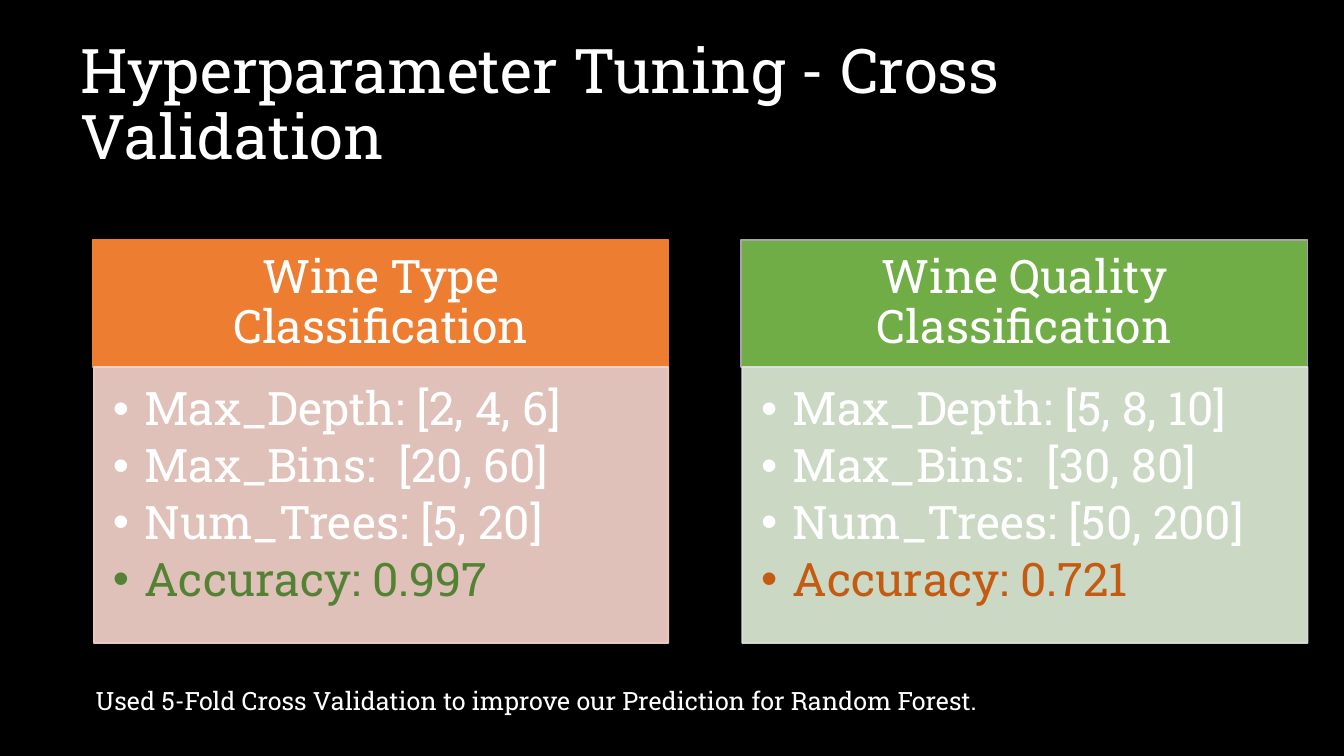
"""Build the hyperparameter tuning slide with two classification cards."""
from lxml.etree import SubElement
from pptx import Presentation
from pptx.dml.color import RGBColor
from pptx.enum.shapes import MSO_SHAPE
from pptx.enum.text import MSO_ANCHOR, PP_ALIGN
from pptx.oxml.ns import qn
from pptx.util import Inches, Pt

FONT = "Roboto Slab"
WHITE = "FFFFFF"
TITLE = "Hyperparameter Tuning - Cross Validation"
FOOTNOTE = "Used 5-Fold Cross Validation to improve our Prediction for Random Forest."
CARDS = [
    {
        "heading": "Wine Type Classification",
        "left": 0.92, "width": 5.71,
        "header": ("ED7D31", "ED7D31"), "body": ("F8D7CE", "F8D7CE"),
        "settings": ["Max_Depth: [2, 4, 6]", "Max_Bins:  [20, 60]", "Num_Trees: [5, 20]"],
        "accuracy": ("Accuracy: 0.997", "548235"),
    },
    {
        "heading": "Wine Quality Classification",
        "left": 7.35, "width": 5.62,
        "header": ("70AD47", "A5A5A5"), "body": ("E2F0D9", "E1E1E1"),
        "settings": ["Max_Depth: [5, 8, 10]", "Max_Bins:  [30, 80]", "Num_Trees: [50, 200]"],
        "accuracy": ("Accuracy: 0.721", "C55A11"),
    },
]
CARD_TOP, HEADER_HEIGHT, BODY_HEIGHT = 2.38, 1.26, 2.74
BODY_INSET = 0.01
HEADER_MARGINS = (0.26, 0.15, 0.26, 0.15)
BODY_MARGINS = (0.19, 0.19, 0.26, 0.29)
TEXT_MARGINS = (0.1, 0.05, 0.1, 0.05)


def color(value):
    return RGBColor.from_string(value)


def set_alpha(color_format_fill, percent):
    for rgb in color_format_fill.iter(qn("a:srgbClr")):
        SubElement(rgb, qn("a:alpha")).set("val", str(percent * 1000))


def add_bullet(paragraph):
    properties = paragraph._p.get_or_add_pPr()
    properties.set("marL", str(Inches(0.31)))
    properties.set("indent", str(-Inches(0.31)))
    SubElement(properties, qn("a:buFont")).set("typeface", "Arial")
    SubElement(properties, qn("a:buChar")).set("char", "•")


def write(shape, lines, size, margins, anchor=MSO_ANCHOR.TOP, align=PP_ALIGN.LEFT,
          spacing=1.0, bullets=False):
    frame = shape.text_frame
    frame.word_wrap = True
    frame.vertical_anchor = anchor
    (frame.margin_left, frame.margin_top,
     frame.margin_right, frame.margin_bottom) = map(Inches, margins)
    for index, (text, text_color) in enumerate(lines):
        paragraph = frame.add_paragraph() if index else frame.paragraphs[0]
        if bullets:
            add_bullet(paragraph)
            paragraph.space_after = Pt(5)
        paragraph.alignment = align
        paragraph.line_spacing = spacing
        run = paragraph.add_run()
        run.text = text
        run.font.name = FONT
        run.font.size = Pt(size)
        run.font.color.rgb = color(text_color)


def add_panel(slide, box, colors):
    panel = slide.shapes.add_shape(MSO_SHAPE.RECTANGLE, *map(Inches, box))
    panel.shadow.inherit = False
    fill_color, line_color = colors
    panel.fill.solid()
    panel.fill.fore_color.rgb = color(fill_color)
    panel.line.color.rgb = color(line_color)
    panel.line.width = Pt(1)
    return panel


def add_card(slide, card):
    left, width = card["left"], card["width"]
    header = add_panel(slide, (left, CARD_TOP, width, HEADER_HEIGHT), card["header"])
    write(header, [(card["heading"], WHITE)], 33, HEADER_MARGINS,
          MSO_ANCHOR.MIDDLE, PP_ALIGN.CENTER, 0.9)
    body_box = (left + BODY_INSET, CARD_TOP + HEADER_HEIGHT, width - BODY_INSET, BODY_HEIGHT)
    body = add_panel(slide, body_box, card["body"])
    set_alpha(body._element.spPr, 90)
    lines = [(text, WHITE) for text in card["settings"]] + [card["accuracy"]]
    write(body, lines, 33, BODY_MARGINS, spacing=0.9, bullets=True)


def main():
    presentation = Presentation()
    presentation.slide_width = Inches(13.33)
    presentation.slide_height = Inches(7.5)
    slide = presentation.slides.add_slide(presentation.slide_layouts[6])
    slide.background.fill.solid()
    slide.background.fill.fore_color.rgb = color("000000")

    title = slide.shapes.add_textbox(*map(Inches, (0.7, 0.33, 12.19, 1.45)))
    write(title, [(TITLE, WHITE)], 44, TEXT_MARGINS, MSO_ANCHOR.MIDDLE, spacing=0.9)
    for card in CARDS:
        add_card(slide, card)
    footnote = slide.shapes.add_textbox(*map(Inches, (0.85, 6.75, 9.44, 0.71)))
    write(footnote, [(FOOTNOTE, WHITE)], 18, TEXT_MARGINS)

    presentation.save("out.pptx")


if __name__ == "__main__":
    main()
